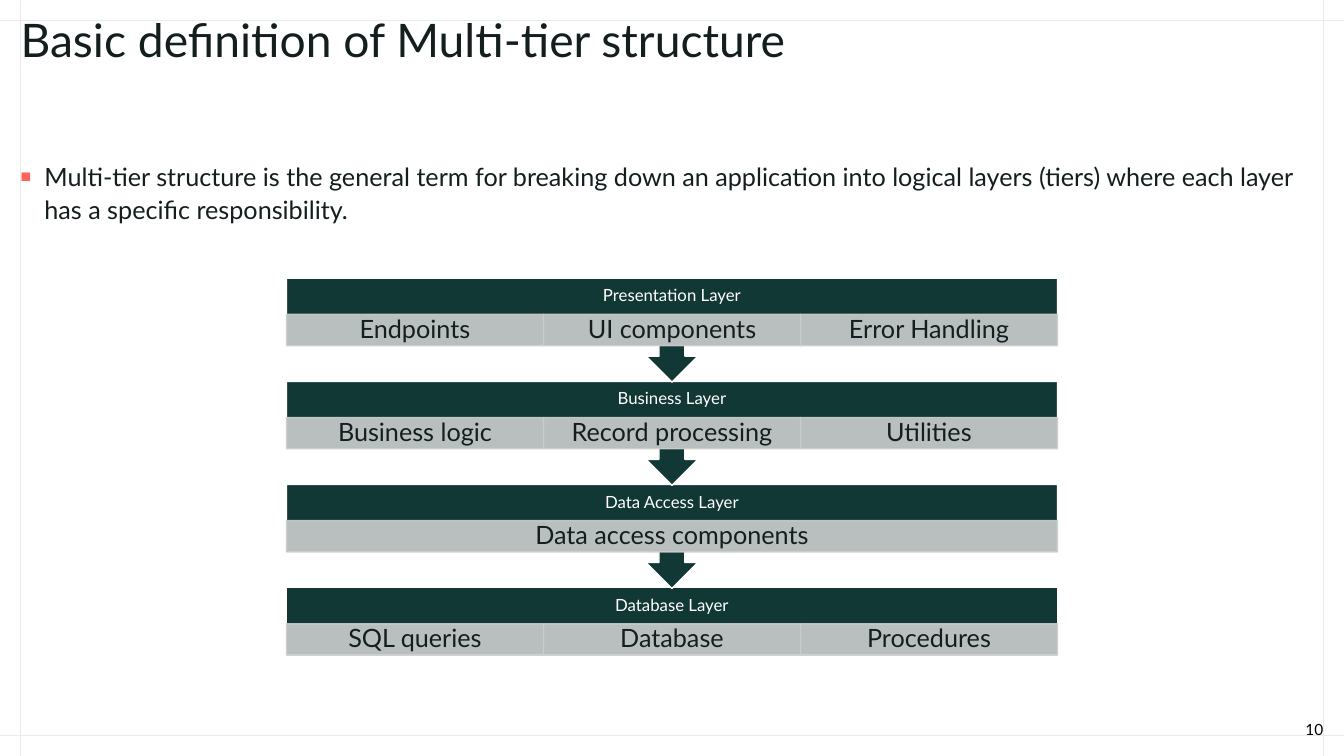
from lxml import etree
from pptx import Presentation
from pptx.dml.color import RGBColor
from pptx.enum.shapes import MSO_CONNECTOR, MSO_SHAPE
from pptx.enum.text import MSO_ANCHOR, PP_ALIGN
from pptx.oxml.ns import qn
from pptx.util import Cm, Pt

RECTANGLE, CALLOUT = MSO_SHAPE.RECTANGLE, MSO_SHAPE.DOWN_ARROW_CALLOUT
STRAIGHT = MSO_CONNECTOR.STRAIGHT
TOP, MIDDLE, BOTTOM = MSO_ANCHOR.TOP, MSO_ANCHOR.MIDDLE, MSO_ANCHOR.BOTTOM
LEFT, CENTER, RIGHT = PP_ALIGN.LEFT, PP_ALIGN.CENTER, PP_ALIGN.RIGHT

# Content
TITLE = "Basic definition of Multi-tier structure"
DEFINITION = (
    "Multi-tier structure is the general term for breaking down an application "
    "into logical layers (tiers) where each layer has a specific responsibility."
)
PAGE_NUMBER = "10"
LAYERS = [
    ("Presentation Layer", ["Endpoints", "UI components", "Error Handling"]),
    ("Business Layer", ["Business logic", "Record processing", "Utilities"]),
    ("Data Access Layer", ["Data access components"]),
    ("Database Layer", ["SQL queries", "Database", "Procedures"]),
]

THEME = {
    "font": "Lato",
    "ink": "141E1E", "black": "000000", "white": "FFFFFF",
    "layer": "123836", "part": "CCCECE", "guide": "E7EBEB", "bullet": "FF6359",
    "title_size": 33, "body_size": 18, "layer_size": 12, "page_size": 11,
}

# Layout in centimetres
SLIDE_WIDTH, SLIDE_HEIGHT = 33.87, 19.05
MARGIN = 0.52
TEXT_WIDTH = SLIDE_WIDTH - 2 * MARGIN
STACK_LEFT, STACK_TOP, STACK_WIDTH = 7.22, 7.01, 19.43
LAYER_PITCH, CALLOUT_HEIGHT, BOX_HEIGHT = 2.6, 2.62, 1.7
PART_OFFSET, PART_HEIGHT = 0.91, 0.79
PART_OPACITY = 90


def color(name):
    return RGBColor.from_string(THEME[name])


def write(shape, text, size, ink="ink", align=LEFT, anchor=TOP, spacing=1.0, bottom=0):
    frame = shape.text_frame
    frame_format = {
        "word_wrap": True, "vertical_anchor": anchor,
        "margin_left": 0, "margin_top": 0, "margin_right": 0,
        "margin_bottom": Cm(bottom),
    }
    for name, value in frame_format.items():
        setattr(frame, name, value)
    paragraph = frame.paragraphs[0]
    paragraph.alignment, paragraph.line_spacing = align, spacing
    run = paragraph.add_run()
    run.text = text
    for name, value in {"name": THEME["font"], "size": Pt(THEME[size])}.items():
        setattr(run.font, name, value)
    run.font.color.rgb = color(ink)
    return paragraph


def add_text(slide, box, *args, **options):
    shape = slide.shapes.add_textbox(*map(Cm, box))
    return write(shape, *args, **options)


def add_box(slide, kind, box, fill, line, opacity=100):
    shape = slide.shapes.add_shape(kind, *map(Cm, box))
    shape.shadow.inherit = False
    shape.fill.solid()
    shape.fill.fore_color.rgb = color(fill)
    shape.line.color.rgb = color(line)
    shape.line.width = Pt(1)
    if opacity < 100:
        for tint in shape.fill._xPr.iter(qn("a:srgbClr")):
            etree.SubElement(tint, qn("a:alpha"), val=str(opacity * 1000))
    return shape


def add_guide(slide, *ends):
    guide = slide.shapes.add_connector(STRAIGHT, *map(Cm, ends))
    guide.line.color.rgb = color("guide")
    guide.line.width = Pt(0.7)
    etree.SubElement(guide._element.spPr, qn("a:effectLst"))


def add_bullet(paragraph, indent):
    properties = paragraph._p.get_or_add_pPr()
    properties.set("marL", str(Cm(indent)))
    properties.set("indent", str(-Cm(indent)))
    bullet_color = etree.SubElement(properties, qn("a:buClr"))
    etree.SubElement(bullet_color, qn("a:srgbClr"), val=THEME["bullet"])
    etree.SubElement(properties, qn("a:buSzPct"), val="70000")
    etree.SubElement(properties, qn("a:buFont"), typeface="Arial")
    etree.SubElement(properties, qn("a:buChar"), char="■")


def add_layer(slide, index, name, parts):
    top = STACK_TOP + index * LAYER_PITCH
    last = index == len(LAYERS) - 1
    kind, height = (RECTANGLE, BOX_HEIGHT) if last else (CALLOUT, CALLOUT_HEIGHT)
    header = add_box(
        slide, kind, (STACK_LEFT, top, STACK_WIDTH, height), "layer", "white"
    )
    write(header, name, "layer_size", "white", CENTER, MIDDLE, 0.9,
          bottom=BOX_HEIGHT - PART_OFFSET)
    part_width = STACK_WIDTH / len(parts)
    for column, part in enumerate(parts):
        box = (STACK_LEFT + column * part_width, top + PART_OFFSET,
               part_width, PART_HEIGHT)
        cell = add_box(slide, RECTANGLE, box, "part", "part", PART_OPACITY)
        write(cell, part, "body_size", "ink", CENTER, MIDDLE, 0.9)


def main():
    presentation = Presentation()
    presentation.slide_width = Cm(SLIDE_WIDTH)
    presentation.slide_height = Cm(SLIDE_HEIGHT)
    slide = presentation.slides.add_slide(presentation.slide_layouts[6])

    # Margin guides
    for x in (MARGIN, SLIDE_WIDTH - MARGIN):
        add_guide(slide, x, 0, x, SLIDE_HEIGHT)
    for y in (MARGIN, SLIDE_HEIGHT - MARGIN):
        add_guide(slide, 0, y, SLIDE_WIDTH, y)

    # Title, definition and page number
    add_text(slide, (MARGIN, 0.52, TEXT_WIDTH, 2.64), TITLE, "title_size", spacing=0.83)
    definition = add_text(slide, (MARGIN, 3.99, TEXT_WIDTH, 12.67), DEFINITION,
                          "body_size", spacing=1.1)
    definition.space_after = Pt(6)
    add_bullet(definition, 0.6)
    add_text(slide, (25.81, 18.08, 7.54, 0.53), PAGE_NUMBER, "page_size", "black",
             RIGHT, BOTTOM)

    # Layers, from the bottom up so each arrow lies over the layer below
    for index, (name, parts) in reversed(list(enumerate(LAYERS))):
        add_layer(slide, index, name, parts)

    presentation.save("out.pptx")


if __name__ == "__main__":
    main()
